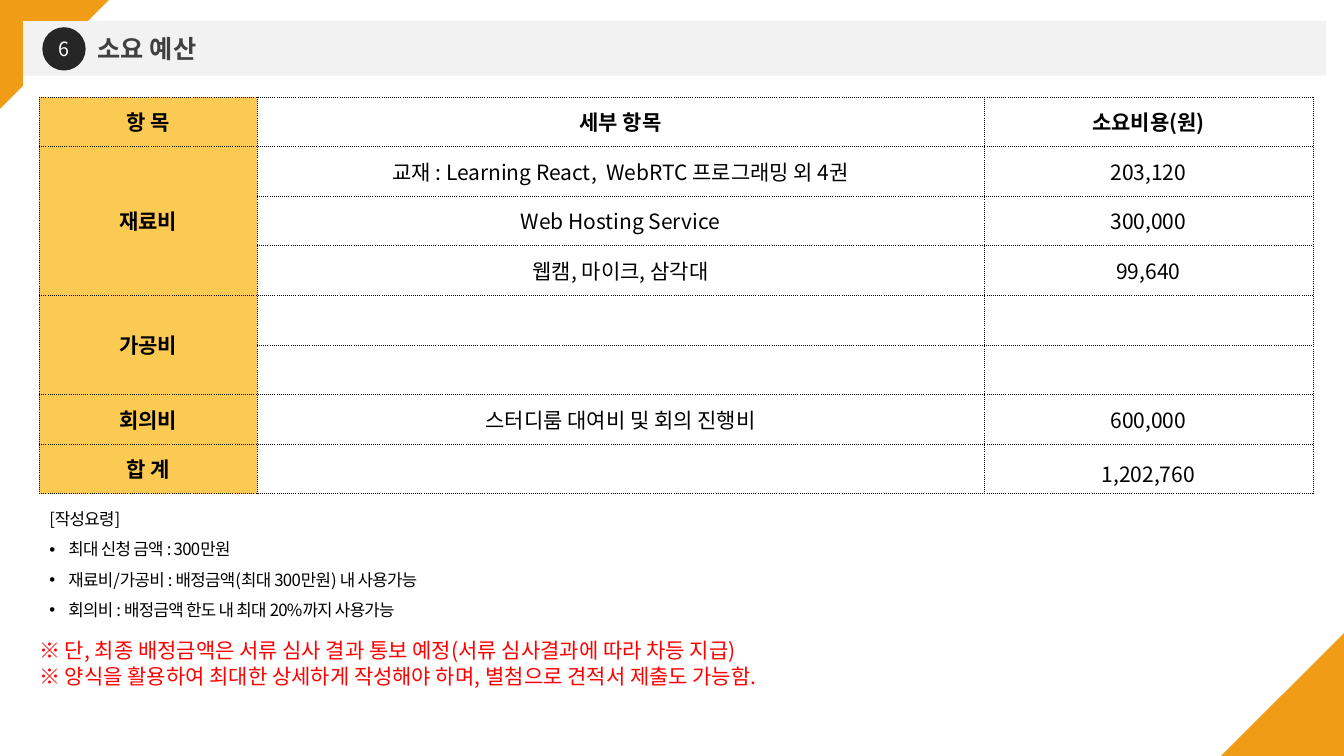
from lxml.etree import SubElement
from pptx import Presentation
from pptx.dml.color import RGBColor
from pptx.enum.shapes import MSO_SHAPE
from pptx.enum.text import MSO_ANCHOR, PP_ALIGN
from pptx.oxml.ns import qn
from pptx.util import Inches, Pt

FONT = "Noto Sans CJK KR"
ORANGE, YELLOW = "F19C16", "FBCA53"


def color(hex_string):
    return RGBColor.from_string(hex_string)


def write(frame, text, size=15, ink="000000", bold=False, align=PP_ALIGN.LEFT,
          anchor=MSO_ANCHOR.TOP, line_spacing=None, tracking=None, bullets_from=None):
    """Fill a text frame or table cell, one paragraph per line of text."""
    if hasattr(frame, "text_frame"):
        frame.vertical_anchor = anchor
        frame = frame.text_frame
    else:
        frame.word_wrap = True
        frame.vertical_anchor = anchor
    for number, line in enumerate(text.split("\n")):
        paragraph = frame.paragraphs[0] if number == 0 else frame.add_paragraph()
        paragraph.alignment = align
        if line_spacing:
            paragraph.line_spacing = line_spacing
        if bullets_from is not None and number >= bullets_from:
            properties = paragraph._p.get_or_add_pPr()
            properties.set("marL", str(Inches(0.19)))
            properties.set("indent", str(-Inches(0.19)))
            SubElement(properties, qn("a:buFont"), typeface="Arial")
            SubElement(properties, qn("a:buChar"), char="•")
        run = paragraph.add_run()
        run.text = line
        run.font.size, run.font.bold, run.font.name = Pt(size), bold, FONT
        run.font.color.rgb = color(ink)
        run_properties = run._r.get_or_add_rPr()
        SubElement(run_properties, qn("a:ea"), typeface=FONT)
        if tracking:
            run_properties.set("spc", str(int(tracking * 100)))


presentation = Presentation()
presentation.slide_width, presentation.slide_height = Inches(13.33), Inches(7.5)
slide = presentation.slides.add_slide(presentation.slide_layouts[5])

# Corner triangles, white sheet, heading band and number badge
backdrop = [
    (MSO_SHAPE.RIGHT_TRIANGLE, 0, -0.01, 1.09, 1.09, 90, ORANGE),
    (MSO_SHAPE.RECTANGLE, 0.23, 0.26, 12.92, 7.09, 0, "FFFFFF"),
    (MSO_SHAPE.RECTANGLE, 0.23, 0.21, 12.92, 0.54, 0, "F2F2F2"),
    (MSO_SHAPE.OVAL, 0.42, 0.27, 0.43, 0.43, 0, "262626"),
    (MSO_SHAPE.RIGHT_TRIANGLE, 12.11, 6.28, 1.22, 1.22, 270, ORANGE),
]
parts = []
for kind, left, top, width, height, turn, fill in backdrop:
    part = slide.shapes.add_shape(kind, *map(Inches, (left, top, width, height)))
    part.rotation = turn
    part.shadow.inherit = False
    part.fill.solid()
    part.fill.fore_color.rgb = color(fill)
    part.line.fill.background()
    parts.append(part)
band, badge = parts[2:4]
badge_text = badge.text_frame
badge_text.margin_left = badge_text.margin_right = 0
write(badge_text, "6", size=14, ink="FFFFFF", align=PP_ALIGN.CENTER, anchor=MSO_ANCHOR.MIDDLE)

# Heading, lifted above the band
heading = slide.shapes.title
heading.left, heading.top, heading.width, heading.height = map(Inches, (0.87, 0.28, 6.03, 0.4))
write(heading.text_frame, "소요 예산", size=18, ink="404040", bold=True)
band.element.addnext(heading.element)

# Budget table: item, detail, cost
budget_rows = [
    ("항 목", "세부 항목", "소요비용(원)"),
    ("재료비", "교재 : Learning React,  WebRTC 프로그래밍 외 4권", "203,120"),
    ("", "Web Hosting Service", "300,000"),
    ("", "웹캠, 마이크, 삼각대", "99,640"),
    ("가공비", "", ""),
    ("", "", ""),
    ("회의비", "스터디룸 대여비 및 회의 진행비", "600,000"),
    ("합 계", "", "1,202,760"),
]
column_widths = (2.16, 7.21, 3.26)
table_height = 3.94
budget = slide.shapes.add_table(
    len(budget_rows), len(column_widths), Inches(0.39), Inches(0.96),
    Inches(sum(column_widths)), Inches(table_height)).table
budget.first_row = budget.horz_banding = False
for column, width in zip(budget.columns, column_widths):
    column.width = Inches(width)
for row_number, entries in enumerate(budget_rows):
    budget.rows[row_number].height = Inches(table_height / len(budget_rows))
    for column_number, entry in enumerate(entries):
        cell = budget.cell(row_number, column_number)
        cell_properties = cell._tc.get_or_add_tcPr()
        for side in ("a:lnL", "a:lnR", "a:lnT", "a:lnB"):
            border = SubElement(cell_properties, qn(side), w=str(Pt(0.25)))
            border_fill = SubElement(border, qn("a:solidFill"))
            SubElement(border_fill, qn("a:srgbClr"), val="000000")
            SubElement(border, qn("a:prstDash"), val="sysDot")
        if column_number == 0:
            cell.fill.solid()
            cell.fill.fore_color.rgb = color(YELLOW)
        else:
            cell.fill.background()
        if entry:
            is_total = row_number == len(budget_rows) - 1 and column_number == 2
            write(cell, entry, bold=row_number == 0 or column_number == 0,
                  align=PP_ALIGN.CENTER, anchor=MSO_ANCHOR.MIDDLE,
                  line_spacing=1.3 if is_total else None)
for first_row, last_row in ((1, 3), (4, 5)):
    budget.cell(first_row, 0).merge(budget.cell(last_row, 0))

# Red notice
notice = slide.shapes.add_textbox(*map(Inches, (0.29, 6.28, 8.21, 0.61)))
write(notice.text_frame,
      "※ 단, 최종 배정금액은 서류 심사 결과 통보 예정(서류 심사결과에 따라 차등 지급)\n"
      "※ 양식을 활용하여 최대한 상세하게 작성해야 하며, 별첨으로 견적서 제출도 가능함.",
      ink="FF0000")

# Filling-in guide
guide = slide.shapes.add_textbox(*map(Inches, (0.39, 4.9, 6.18, 1.31)))
write(guide.text_frame,
      "[작성요령]\n"
      "최대 신청 금액 : 300만원\n"
      "재료비/가공비 : 배정금액(최대 300만원) 내 사용가능\n"
      "회의비 : 배정금액 한도 내 최대 20%까지 사용가능",
      size=12, line_spacing=1.5, tracking=-0.5, bullets_from=1)

presentation.save("out.pptx")
